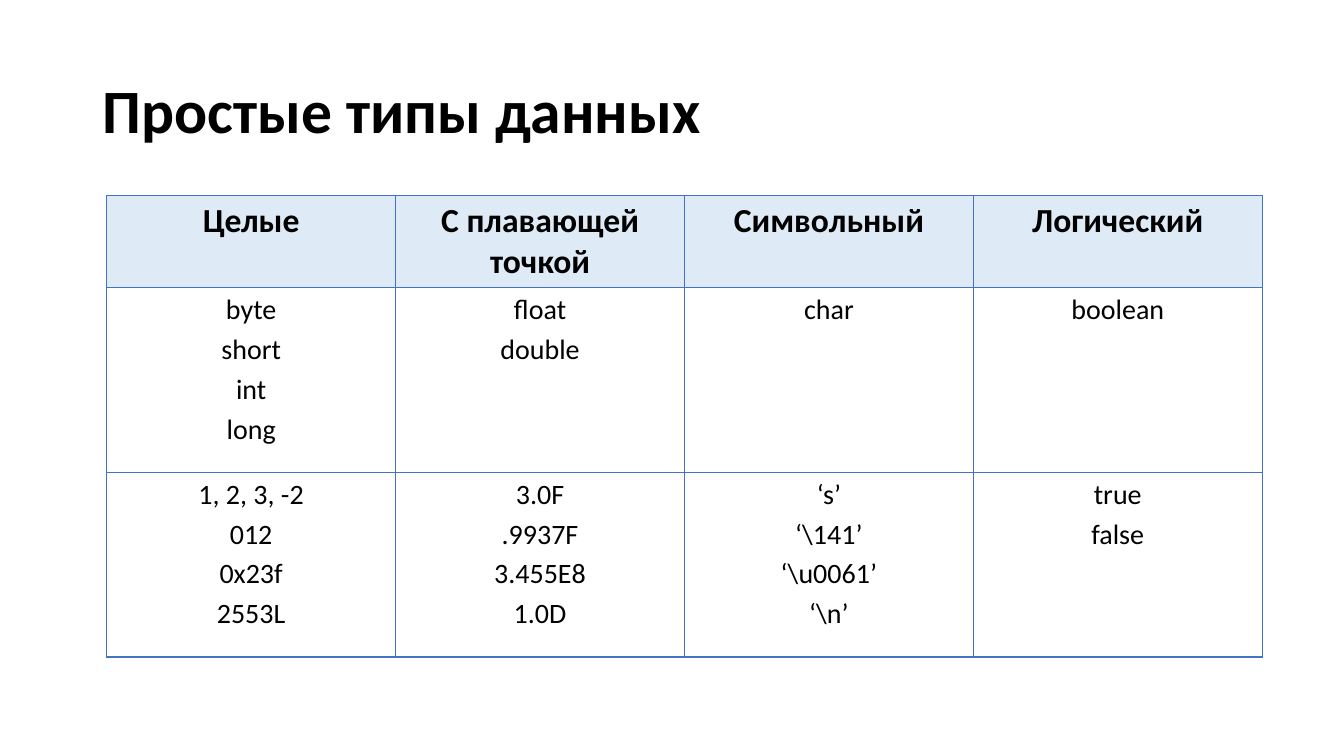
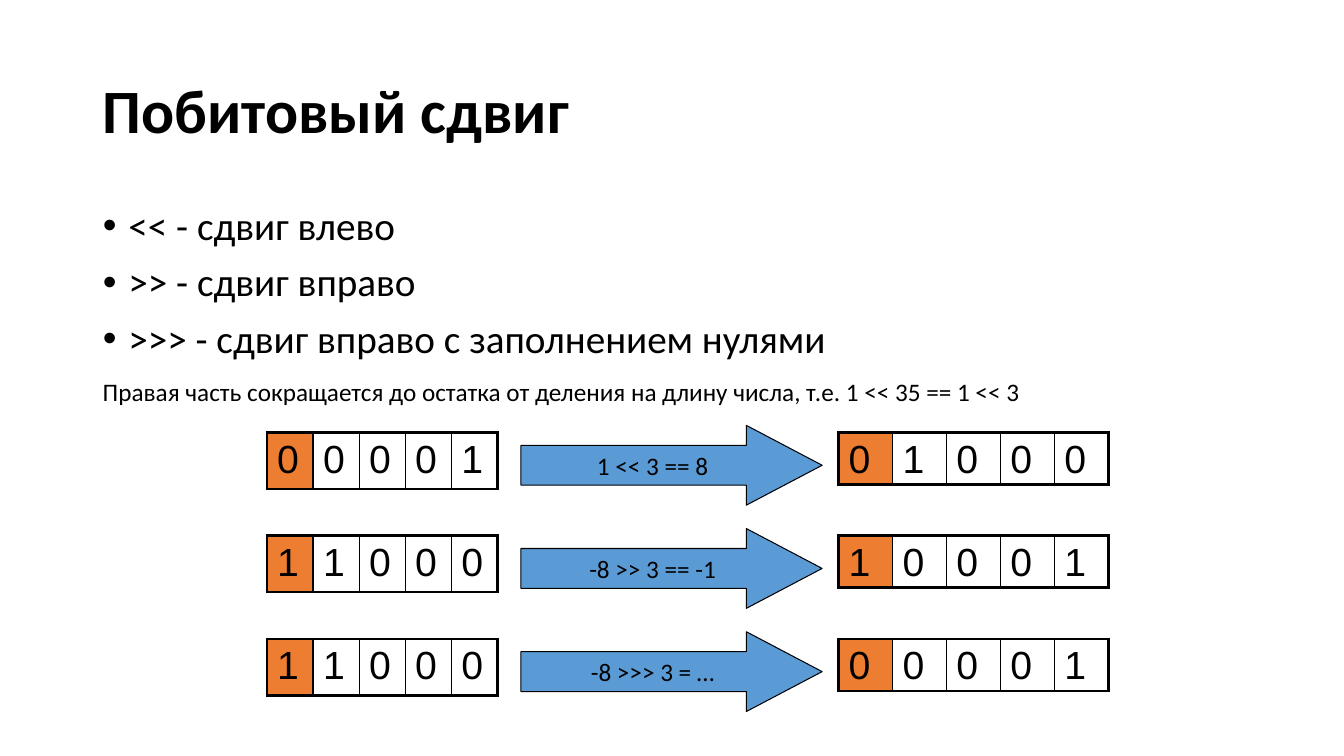
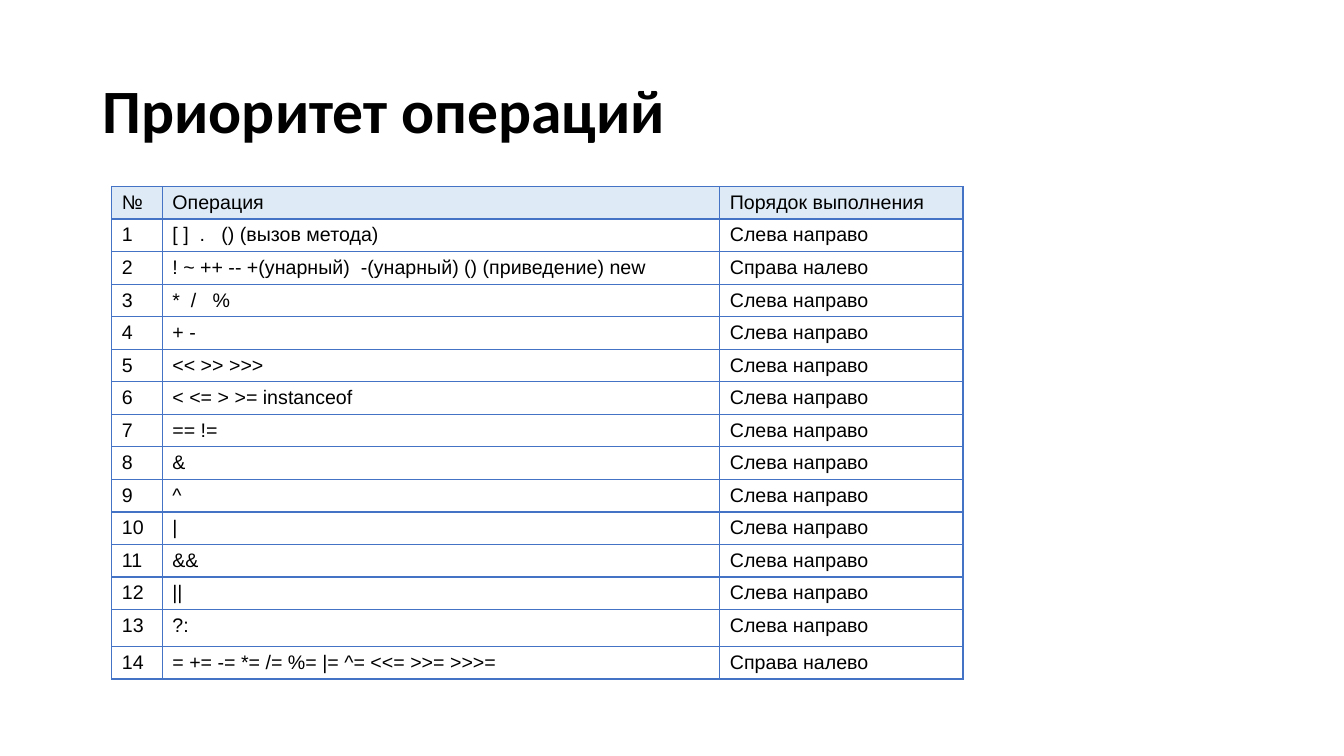
"""Build three slides on Java data types, bit shifts and operator precedence."""
from dataclasses import dataclass

from pptx import Presentation
from pptx.dml.color import RGBColor
from pptx.enum.shapes import MSO_SHAPE
from pptx.enum.text import MSO_ANCHOR, MSO_AUTO_SIZE, PP_ALIGN
from pptx.oxml.ns import qn
from pptx.util import Cm, Pt
from lxml.etree import SubElement


@dataclass(frozen=True)
class Theme:
    ink: str = "000000"
    rule: str = "4472C4"
    head: str = "DEEBF7"
    sign_bit: str = "ED7D31"
    arrow: str = "5B9BD5"
    text_font: str = "Calibri"
    grid_font: str = "Arial"
    title_size: int = 44
    list_size: int = 28
    bit_size: int = 28
    head_size: int = 24
    type_size: int = 20
    note_size: int = 18
    operation_size: int = 14
    thin: float = 1
    thick: float = 2.25


THEME = Theme()
TITLE_BOX = (2.34, 1.02, 29.21, 3.68)
TITLE_ONLY, TITLE_AND_BODY = 5, 1

TYPES_TITLE = "Простые типы данных"
TYPES = [
    ["Целые", "С плавающей точкой", "Символьный", "Логический"],
    ["byte\nshort\nint\nlong", "float\ndouble", "char", "boolean"],
    [
        "1, 2, 3, -2\n012\n0x23f\n2553L",
        "3.0F\n.9937F\n3.455E8\n1.0D",
        "\n".join(["‘s’", r"‘\141’", r"‘\u0061’", r"‘\n’"]),
        "true\nfalse",
    ],
]

SHIFT_TITLE = "Побитовый сдвиг"
SHIFT_LIST = [
    "<< - сдвиг влево",
    ">> - сдвиг вправо",
    ">>> - сдвиг вправо с заполнением нулями",
]
SHIFT_NOTE = ("Правая часть сокращается до остатка от деления на длину числа, "
              "т.е. 1 << 35 == 1 << 3")
SHIFTS = [
    ("00001", "1 << 3 == 8", "01000"),
    ("11000", "-8 >> 3 == -1", "10001"),
    ("11000", "-8 >>> 3 = …", "00001"),
]

ORDER_TITLE = "Приоритет операций"
ORDER_HEAD = ["№", "Операция", "Порядок выполнения"]
FORWARD, BACKWARD = "Слева направо", "Справа налево"
OPERATIONS = [
    ("[ ]  .   () (вызов метода)", FORWARD),
    ("! ~ ++ -- +(унарный)  -(унарный) () (приведение) new", BACKWARD),
    ("*  /   %", FORWARD),
    ("+ -", FORWARD),
    ("<< >> >>>", FORWARD),
    ("< <= > >= instanceof", FORWARD),
    ("== !=", FORWARD),
    ("&", FORWARD),
    ("^", FORWARD),
    ("|", FORWARD),
    ("&&", FORWARD),
    ("||", FORWARD),
    ("?:", FORWARD),
    ("= += -= *= /= %= |= ^= <<= >>= >>>=", BACKWARD),
]


def apply(target, formats):
    for name, value in formats.items():
        setattr(target, name, value)


def place(shape, box):
    apply(shape, dict(zip(("left", "top", "width", "height"), map(Cm, box))))


def write(frame, lines, size, font=THEME.text_font, bold=False, **layout):
    for index, line in enumerate(lines):
        para = frame.paragraphs[0] if index == 0 else frame.add_paragraph()
        apply(para, layout)
        span = para.add_run()
        span.text = line
        apply(span.font, {"size": Pt(size), "name": font, "bold": bold})
        span.font.color.rgb = RGBColor.from_string(THEME.ink)


def add_page(deck, title, layout=TITLE_ONLY):
    page = deck.slides.add_slide(deck.slide_layouts[layout])
    box = page.shapes.title
    place(box, TITLE_BOX)
    apply(box.text_frame, {"vertical_anchor": MSO_ANCHOR.MIDDLE,
                           "auto_size": MSO_AUTO_SIZE.NONE})
    write(box.text_frame, [title], THEME.title_size, bold=True,
          alignment=PP_ALIGN.LEFT, line_spacing=0.9)
    return page


def draw_borders(cell, color, widths):
    properties = cell._tc.get_or_add_tcPr()
    for side, width in widths.items():
        line = SubElement(properties, qn(f"a:ln{side}"), w=str(Pt(width)))
        fill = SubElement(line, qn("a:solidFill"))
        SubElement(fill, qn("a:srgbClr"), val=color)


def add_grid(page, corner, widths, heights, rows, look, color=THEME.rule,
             outer=THEME.thin, bottom_margin=0.13, alignment=PP_ALIGN.LEFT):
    box = (*corner, sum(widths), sum(heights))
    table = page.shapes.add_table(len(rows), len(widths), *map(Cm, box)).table
    apply(table, {"first_row": False, "horz_banding": False})
    for column, width in zip(table.columns, widths):
        column.width = Cm(width)
    for row, height in zip(table.rows, heights):
        row.height = Cm(height)
    last_row, last_column = len(rows) - 1, len(widths) - 1
    for y, row in enumerate(rows):
        for x, text in enumerate(row):
            cell = table.cell(y, x)
            cell.margin_bottom = Cm(bottom_margin)
            edges = {"L": x == 0, "R": x == last_column,
                     "T": y == 0, "B": y == last_row}
            draw_borders(cell, color, {side: outer if edge else THEME.thin
                                       for side, edge in edges.items()})
            fill, formats = look(y, x)
            if fill:
                cell.fill.solid()
                cell.fill.fore_color.rgb = RGBColor.from_string(fill)
            else:
                cell.fill.background()
            write(cell.text_frame, text.split("\n"), alignment=alignment,
                  space_before=Pt(0.2 * formats["size"]), **formats)


def type_look(row, column):
    if row == 0:
        return THEME.head, {"size": THEME.head_size, "bold": True}
    return None, {"size": THEME.type_size}


def bit_look(row, column):
    fill = THEME.sign_bit if column == 0 else None
    return fill, {"size": THEME.bit_size, "font": THEME.grid_font}


def operation_look(row, column):
    fill = THEME.head if row == 0 else None
    return fill, {"size": THEME.operation_size, "font": THEME.grid_font}


def add_bits(page, left, top, bits, width, height):
    add_grid(page, (left, top), [width] * len(bits), [height], [bits], bit_look,
             color=THEME.ink, outer=THEME.thick, bottom_margin=0.08)


def add_arrow(page, left, top, label):
    arrow = page.shapes.add_shape(MSO_SHAPE.RIGHT_ARROW,
                                  *map(Cm, (left, top, 7.59, 2.01)))
    arrow.adjustments[0], arrow.adjustments[1] = 0.5, 0.95
    arrow.shadow.inherit = False
    arrow.fill.solid()
    arrow.fill.fore_color.rgb = RGBColor.from_string(THEME.arrow)
    arrow.line.color.rgb = RGBColor.from_string(THEME.ink)
    arrow.line.width = Pt(0.75)
    apply(arrow.text_frame, {"word_wrap": False,
                             "vertical_anchor": MSO_ANCHOR.MIDDLE})
    write(arrow.text_frame, [label], THEME.note_size, alignment=PP_ALIGN.CENTER)


def add_list(page, lines, box):
    body = page.placeholders[1]
    place(body, box)
    body.text_frame.auto_size = MSO_AUTO_SIZE.NONE
    write(body.text_frame, lines, THEME.list_size,
          line_spacing=0.9, space_before=Pt(10))
    for para in body.text_frame.paragraphs:
        properties = para._p.get_or_add_pPr()
        properties.set("marL", str(Cm(0.64)))
        properties.set("indent", str(-Cm(0.64)))
        SubElement(properties, qn("a:buFont"), typeface=THEME.grid_font)
        SubElement(properties, qn("a:buChar"), char="•")


def build_types(deck):
    page = add_page(deck, TYPES_TITLE)
    add_grid(page, (2.69, 4.93), [7.28] * 4, [2.32, 4.65, 4.65], TYPES,
             type_look, alignment=PP_ALIGN.CENTER)


def build_shifts(deck):
    page = add_page(deck, SHIFT_TITLE, TITLE_AND_BODY)
    add_list(page, SHIFT_LIST, (2.34, 5.08, 21.82, 12.09))
    for index, (before, label, after) in enumerate(SHIFTS):
        top = 10.9 + 2.6 * index
        add_bits(page, 6.73, top, before, 1.16, 1.42)
        add_bits(page, 21.13, top, after, 1.36, 1.3)
        add_arrow(page, 13.13, top - 0.18, label)
    note = page.shapes.add_textbox(*map(Cm, (2.34, 9.37, 28.24, 1.02)))
    note.text_frame.word_wrap = True
    write(note.text_frame, [SHIFT_NOTE], THEME.note_size)


def build_order(deck):
    page = add_page(deck, ORDER_TITLE)
    rows = [ORDER_HEAD] + [[str(number), *operation] for number, operation
                           in enumerate(OPERATIONS, 1)]
    heights = [0.82] * 13 + [0.93, 0.82]
    add_grid(page, (2.82, 4.7), [1.27, 14.05, 6.13], heights, rows,
             operation_look)


def main():
    deck = Presentation()
    apply(deck, {"slide_width": Cm(33.87), "slide_height": Cm(19.05)})
    for build in (build_types, build_shifts, build_order):
        build(deck)
    deck.save("out.pptx")


if __name__ == "__main__":
    main()
